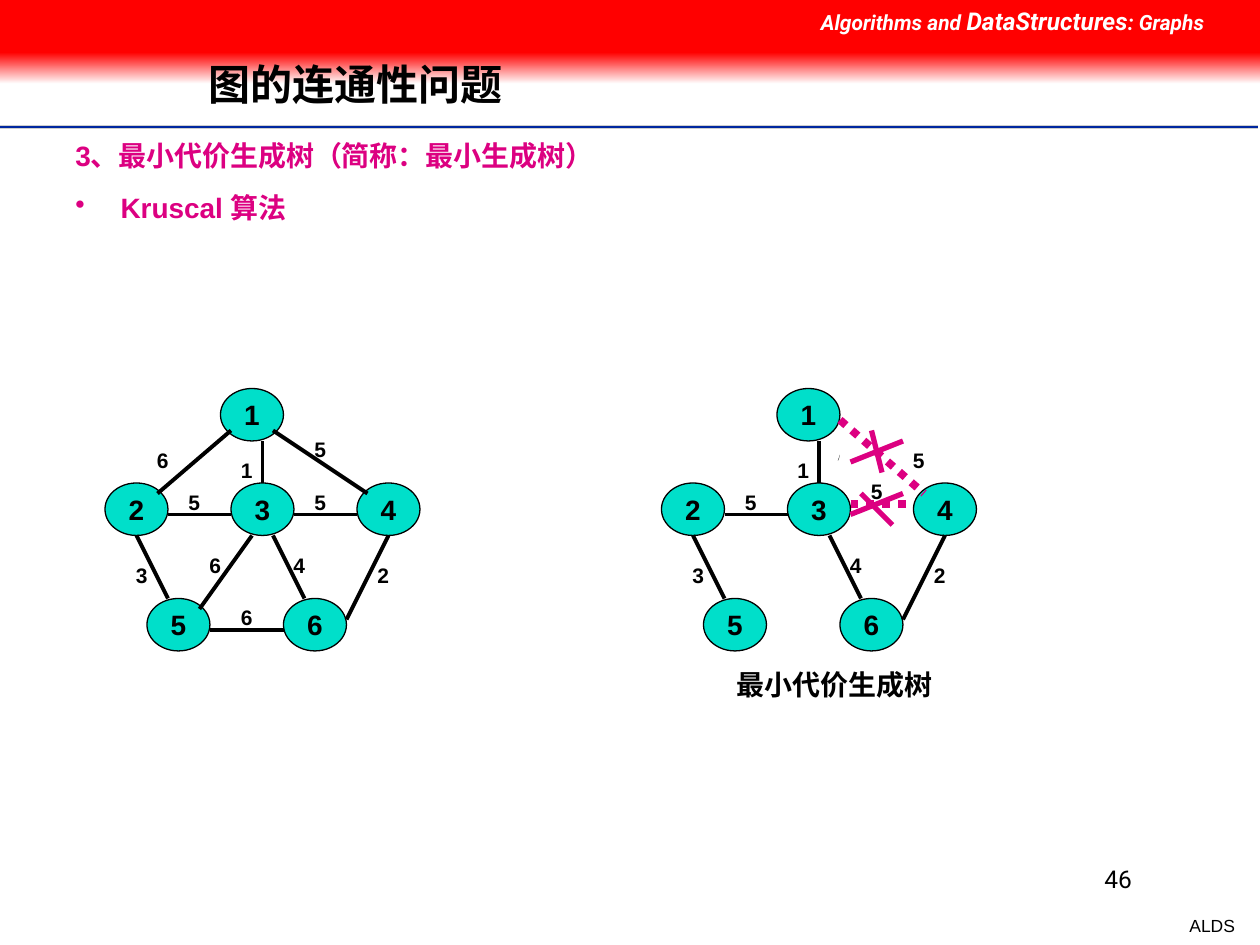
from typing import NamedTuple

from lxml import etree
from pptx import Presentation
from pptx import util as u
from pptx.dml.color import RGBColor
from pptx.enum import dml, shapes, text
from pptx.oxml import ns

PX = u.Inches(1) // 120
TREE_SHIFT = 530
NODE_WIDTH, NODE_HEIGHT = 60, 50
WEIGHT_WIDTH, WEIGHT_HEIGHT = 50, 36


class Theme:
    black, white, red = "000000", "FFFFFF", "FF0000"
    magenta, teal, navy, silver = "DC0081", "00DFCA", "00279F", "CECECE"
    body, banner = "Arial", "Roboto"
    title, heading, page, weight, footer = 24, 16, 14, 12, 10
    course, course_accent = 12, 14
    thin, edge, cross, rejected = 0.75, 2.25, 3, 4.5


class Box(NamedTuple):
    x: int
    y: int
    w: int
    h: int


class Run(NamedTuple):
    words: str
    size: int
    color: str = Theme.black
    font: str = Theme.body
    bold: bool = True
    italic: bool = False


class Node(NamedTuple):
    label: str
    x: int
    y: int


class Line(NamedTuple):
    x1: int
    y1: int
    x2: int
    y2: int


class Weight(NamedTuple):
    label: str
    x: int
    y: int


class Edge(NamedTuple):
    line: Line
    weight: Weight
    in_tree: bool = False


NODES = [
    Node("1", 210, 370), Node("2", 100, 460), Node("3", 220, 460),
    Node("4", 340, 460), Node("5", 140, 570), Node("6", 270, 570),
]
EDGES = [
    Edge(Line(160, 490, 220, 490), Weight("5", 160, 460), True),
    Edge(Line(280, 490, 340, 490), Weight("5", 280, 460)),
    Edge(Line(250, 420, 250, 460), Weight("1", 210, 430), True),
    Edge(Line(130, 510, 160, 570), Weight("3", 110, 530), True),
    Edge(Line(190, 580, 240, 510), Weight("6", 180, 520)),
    Edge(Line(260, 510, 290, 570), Weight("4", 260, 520), True),
    Edge(Line(330, 590, 370, 510), Weight("2", 340, 530), True),
    Edge(Line(200, 600, 270, 600), Weight("6", 210, 570)),
    Edge(Line(150, 470, 220, 410), Weight("6", 130, 420)),
    Edge(Line(350, 470, 260, 410), Weight("5", 280, 410)),
]
REJECTED = [
    Edge(Line(810, 480, 870, 480), Weight("5", 810, 450)),
    Edge(Line(800, 400, 880, 470), Weight("5", 850, 420)),
]
CROSSES = [
    Line(810, 440, 860, 420), Line(830, 410, 840, 450),
    Line(810, 490, 860, 470), Line(820, 470, 850, 500),
]


def rgb(color: str) -> RGBColor:
    return RGBColor.from_string(color)


def emu(lengths) -> list[int]:
    return [length * PX for length in lengths]


def add_runs(paragraph, runs: list[Run]) -> None:
    for run in runs:
        part = paragraph.add_run()
        part.text = run.words
        part.font.name, part.font.size = run.font, u.Pt(run.size)
        part.font.bold, part.font.italic = run.bold, run.italic
        part.font.color.rgb = rgb(run.color)


def add_words(slide, box: Box, runs: list[Run], align=text.PP_ALIGN.LEFT,
              wrap: bool = True, anchor=text.MSO_ANCHOR.TOP):
    frame = slide.shapes.add_textbox(*emu(box)).text_frame
    frame.word_wrap, frame.vertical_anchor = wrap, anchor
    paragraph = frame.paragraphs[0]
    paragraph.alignment = align
    add_runs(paragraph, runs)
    return paragraph


def indent(paragraph, margin: int, first: int = 0) -> None:
    properties = paragraph._p.get_or_add_pPr()
    properties.set("marL", str(margin * PX))
    properties.set("indent", str(first * PX))


def add_bullet(paragraph, color: str) -> None:
    properties = paragraph._p.get_or_add_pPr()
    tint = etree.SubElement(properties, ns.qn("a:buClr"))
    etree.SubElement(tint, ns.qn("a:srgbClr")).set("val", color)
    etree.SubElement(properties, ns.qn("a:buChar")).set("char", "•")


def add_line(slide, line: Line, color: str, width: float, dash=None) -> None:
    stroke = slide.shapes.add_connector(shapes.MSO_CONNECTOR.STRAIGHT, *emu(line))
    stroke.line.color.rgb, stroke.line.width = rgb(color), u.Pt(width)
    if dash:
        stroke.line.dash_style = dash
    etree.SubElement(stroke._element.spPr, ns.qn("a:effectLst"))


def add_band(slide, box: Box):
    band = slide.shapes.add_shape(shapes.MSO_SHAPE.RECTANGLE, *emu(box))
    band.shadow.inherit = False
    band.line.fill.background()
    return band.fill


def add_node(slide, node: Node, shift: int) -> None:
    box = Box(node.x + shift, node.y, NODE_WIDTH, NODE_HEIGHT)
    circle = slide.shapes.add_shape(shapes.MSO_SHAPE.OVAL, *emu(box))
    circle.shadow.inherit = False
    circle.fill.solid()
    circle.fill.fore_color.rgb = rgb(Theme.teal)
    circle.line.color.rgb, circle.line.width = rgb(Theme.black), u.Pt(Theme.thin)
    frame = circle.text_frame
    frame.word_wrap, frame.vertical_anchor = False, text.MSO_ANCHOR.MIDDLE
    frame.paragraphs[0].alignment = text.PP_ALIGN.CENTER
    add_runs(frame.paragraphs[0], [Run(node.label, Theme.heading)])


def add_weight(slide, weight: Weight, shift: int = 0) -> None:
    box = Box(weight.x + shift, weight.y, WEIGHT_WIDTH, WEIGHT_HEIGHT)
    add_words(slide, box, [Run(weight.label, Theme.weight)], text.PP_ALIGN.CENTER)


def add_graph(slide, edges: list[Edge], shift: int = 0) -> None:
    for node in NODES:
        add_node(slide, node, shift)
    for line, weight, _ in edges:
        moved = Line(line.x1 + shift, line.y1, line.x2 + shift, line.y2)
        add_line(slide, moved, Theme.black, Theme.edge)
        add_weight(slide, weight, shift)


def add_frame(slide) -> None:
    for y, color, width in ((121, Theme.silver, 2), (121, Theme.navy, 1), (124, Theme.white, 1)):
        add_line(slide, Line(0, y, 1198, y), color, width)
    fade = add_band(slide, Box(0, 50, 1200, 30))
    fade.gradient()
    fade.gradient_angle = 270
    for stop, color, position in zip(fade.gradient_stops, (Theme.red, Theme.white), (0, 1)):
        stop.color.rgb, stop.position = rgb(color), position
    banner = add_band(slide, Box(0, 0, 1200, 50))
    banner.solid()
    banner.fore_color.rgb = rgb(Theme.red)
    course = [("Algorithms and ", Theme.course), ("DataStructures", Theme.course_accent),
              (": Graphs", Theme.course)]
    add_words(slide, Box(770, 0, 430, 41),
              [Run(words, size, Theme.white, Theme.banner, True, True) for words, size in course])
    add_words(slide, Box(1121, 866, 67, 32), [Run("ALDS", Theme.footer, bold=False)],
              text.PP_ALIGN.RIGHT, wrap=False)
    add_words(slide, Box(860, 817, 230, 60),
              [Run("46", Theme.page, font=Theme.banner, bold=False)], text.PP_ALIGN.RIGHT)


def add_headings(slide) -> None:
    title = add_words(slide, Box(187, 38, 906, 89), [Run("图的连通性问题", Theme.title)],
                      anchor=text.MSO_ANCHOR.MIDDLE)
    title.line_spacing = 0.9
    topic = add_words(slide, Box(0, 126, 630, 44),
                      [Run("3、最小代价生成树（简称：最小生成树）", Theme.heading, Theme.magenta)])
    indent(topic, 60)
    method = add_words(slide, Box(60, 176, 320, 44),
                       [Run("Kruscal 算法", Theme.heading, Theme.magenta)])
    indent(method, 43, -43)
    add_bullet(method, Theme.magenta)


def add_rejections(slide) -> None:
    for line, weight, _ in REJECTED:
        add_line(slide, line, Theme.magenta, Theme.rejected, dml.MSO_LINE.ROUND_DOT)
        add_weight(slide, weight)
    outline = slide.shapes.build_freeform(798, 439, scale=PX)
    outline.add_line_segments([(800, 433), (799, 437)])
    speck = outline.convert_to_shape()
    speck.shadow.inherit = False
    speck.fill.solid()
    speck.fill.fore_color.rgb = rgb(Theme.black)
    speck.line.fill.background()
    for cross in CROSSES:
        add_line(slide, cross, Theme.magenta, Theme.cross)


def main() -> None:
    """Build the slide on Kruskal's minimum spanning tree."""
    deck = Presentation()
    deck.slide_width, deck.slide_height = emu((1200, 900))
    slide = deck.slides.add_slide(deck.slide_layouts[6])
    add_frame(slide)
    add_headings(slide)
    add_graph(slide, EDGES)
    add_words(slide, Box(680, 630, 230, 44), [Run("最小代价生成树", Theme.heading)],
              text.PP_ALIGN.CENTER)
    add_graph(slide, [edge for edge in EDGES if edge.in_tree], TREE_SHIFT)
    add_rejections(slide)
    deck.save("out.pptx")


if __name__ == "__main__":
    main()
